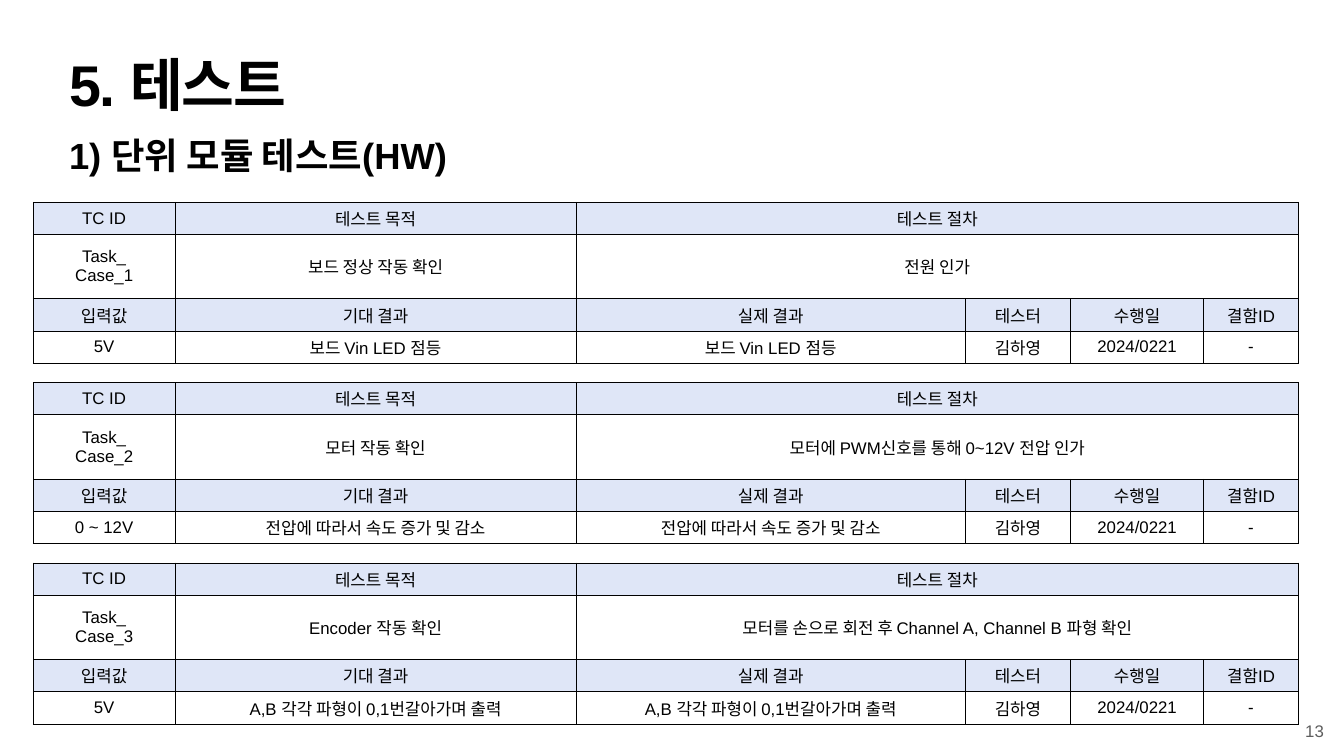
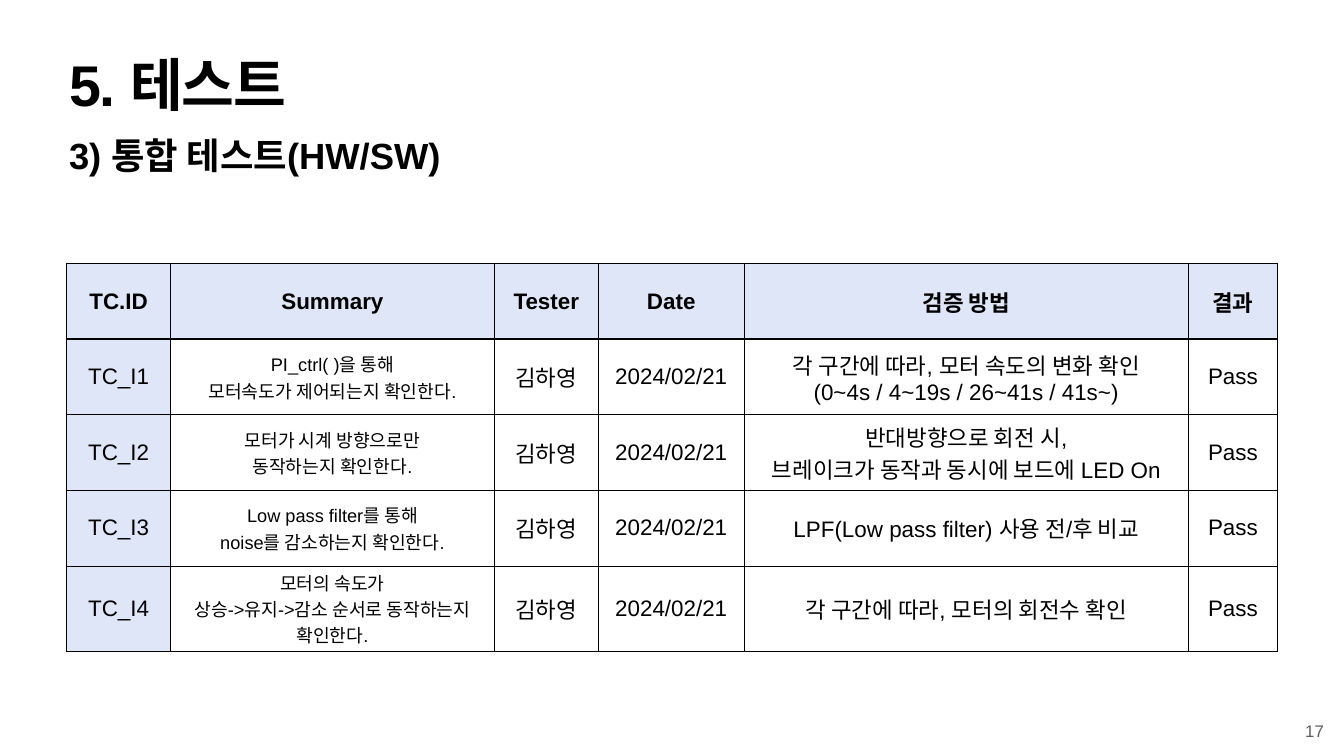
from lxml import etree
from pptx import Presentation
from pptx.dml import color
from pptx.enum import text
from pptx.oxml import ns
from pptx.util import Pt

INK, GREY, TINT = "000000", "5E5E5E", "DFE6F7"
PAD = ("margin_left", "margin_top", "margin_right", "margin_bottom")
MID = text.MSO_ANCHOR.MIDDLE
MAIN = "5. 테스트"
TESTER = "김하영"
UNIT_COLS = (202.5, 573, 556, 150.5, 190, 135.5)
UNIT_ROWS = (46, 92, 46, 46)
UNIT_TOP, UNIT_STEP = 288.75, 257.75
UNITS = [
    ("보드 정상 작동 확인", "전원 인가", "5V", "보드 Vin LED 점등"),
    ("모터 작동 확인", "모터에 PWM신호를 통해 0~12V 전압 인가",
     "0 ~ 12V", "전압에 따라서 속도 증가 및 감소"),
    ("Encoder 작동 확인", "모터를 손으로 회전 후 Channel A, Channel B 파형 확인",
     "5V", "A,B 각각 파형이 0,1번갈아가며 출력"),
]
JOINT_COLS = (149, 462, 149, 208, 635, 127)
JOINT_ROWS = (108, 108, 108, 108, 122)
JOINT_HEAD = ("TC.ID", "Summary", "Tester", "Date", "검증 방법", "결과")
JOINTS = [
    ("PI_ctrl( )을 통해\n모터속도가 제어되는지 확인한다.",
     "각 구간에 따라, 모터 속도의 변화 확인\n(0~4s / 4~19s / 26~41s / 41s~)"),
    ("모터가 시계 방향으로만\n동작하는지 확인한다.",
     "반대방향으로 회전 시,\n브레이크가 동작과 동시에 보드에 LED On"),
    ("Low pass filter를 통해\nnoise를 감소하는지 확인한다.",
     "LPF(Low pass filter) 사용 전/후 비교"),
    ("모터의 속도가\n상승->유지->감소 순서로 동작하는지\n확인한다.",
     "각 구간에 따라, 모터의 회전수 확인"),
]


def rgb(code):
    """Turn a hex string into a colour."""
    return color.RGBColor.from_string(code)


def apply(item, values):
    """Set each named attribute of an item."""
    for name, value in values.items():
        setattr(item, name, value)


def write(frame, words, size, bold=False, ink=INK, align=None, pad=4):
    """Fill a text frame or cell frame with styled paragraphs."""
    apply(frame, dict.fromkeys(PAD, Pt(pad)))
    frame.text = words
    for para in frame.paragraphs:
        para.alignment = align
        for run in para.runs:
            apply(run.font, {"name": "Arial", "size": Pt(size), "bold": bold})
            run.font.color.rgb = rgb(ink)


def label(slide, box, words, size, wrap=True, **look):
    """Add a text box and return its frame."""
    frame = slide.shapes.add_textbox(*map(Pt, box)).text_frame
    frame.word_wrap = wrap
    write(frame, words, size, **look)
    return frame


def edge(cell, side, width):
    """Draw one border of a cell."""
    line = etree.SubElement(cell._tc.get_or_add_tcPr(), ns.qn("a:ln" + side),
                            w=str(Pt(width)))
    fill = etree.SubElement(line, ns.qn("a:solidFill"))
    etree.SubElement(fill, ns.qn("a:srgbClr"), val=INK)


def paint(cell, tint, top=1, base=1):
    """Give a cell its borders and fill."""
    for side, width in zip("LRTB", (1, 1, top, base)):
        edge(cell, side, width)
    if tint:
        cell.fill.solid()
        cell.fill.fore_color.rgb = rgb(TINT)
    else:
        cell.fill.background()


def enter(cell, words, size, bold=False):
    """Write centred words in a cell."""
    write(cell.text_frame, words, size, bold, align=text.PP_ALIGN.CENTER)
    cell.vertical_anchor = MID


def grid(slide, left, top, cols, rows):
    """Add a table without banding."""
    box = map(Pt, (left, top, sum(cols), sum(rows)))
    table = slide.shapes.add_table(len(rows), len(cols), *box).table
    apply(table, {"first_row": False, "horz_banding": False})
    for col, width in zip(table.columns, cols):
        col.width = Pt(width)
    for row, height in zip(table.rows, rows):
        row.height = Pt(height)
    return table


def unit(slide, index, goal, steps, given, result):
    """Add the table of one unit test case."""
    table = grid(slide, 47.5, UNIT_TOP + index * UNIT_STEP, UNIT_COLS, UNIT_ROWS)
    lines = [
        ("TC ID", "테스트 목적", "테스트 절차"),
        (f"Task_\nCase_{index + 1}", goal, steps),
        ("입력값", "기대 결과", "실제 결과", "테스터", "수행일", "결함ID"),
        (given, result, result, TESTER, "2024/0221", "-"),
    ]
    for row, line in enumerate(lines):
        for col in range(len(UNIT_COLS)):
            paint(table.cell(row, col), row % 2 == 0)
        if len(line) == 3:
            table.cell(row, 2).merge(table.cell(row, 5))
        for col, words in enumerate(line):
            enter(table.cell(row, col), words, 24)


def joint(slide):
    """Add the table of integration tests."""
    lines = [JOINT_HEAD] + [
        (f"TC_I{num}", goal, TESTER, "2024/02/21", check, "Pass")
        for num, (goal, check) in enumerate(JOINTS, 1)]
    table = grid(slide, 95, 376.5, JOINT_COLS, JOINT_ROWS)
    for row, line in enumerate(lines):
        head = row == 0
        for col, words in enumerate(line):
            cell = table.cell(row, col)
            paint(cell, head or col == 0, 3 if row == 1 else 1, 3 if head else 1)
            enter(cell, words, 26 if col == 1 and not head else 32, head)


def page(deck, topic, number):
    """Add a slide with its title, topic and page number."""
    slide = deck.slides.add_slide(deck.slide_layouts[6])
    para = label(slide, (95, 85, 1730, 113), MAIN, 82, bold=True).paragraphs[0]
    para.line_spacing = 0.8
    para.runs[0]._r.get_or_add_rPr().set("spc", "-200")
    label(slide, (95, 187, 1730, 73.5), topic, 52, bold=True, pad=3.6)
    foot = label(slide, (1860, 1026, 36, 36), str(number), 24, wrap=False,
                 ink=GREY, align=text.PP_ALIGN.CENTER)
    apply(foot, {"vertical_anchor": MID,
                 "auto_size": text.MSO_AUTO_SIZE.SHAPE_TO_FIT_TEXT})
    return slide


def main():
    """Build and save the deck."""
    deck = Presentation()
    apply(deck, {"slide_width": Pt(1920), "slide_height": Pt(1080)})
    slide = page(deck, "1) 단위 모듈 테스트(HW)", 13)
    for index, case in enumerate(UNITS):
        unit(slide, index, *case)
    joint(page(deck, "3) 통합 테스트(HW/SW)", 17))
    deck.save("out.pptx")


if __name__ == "__main__":
    main()
